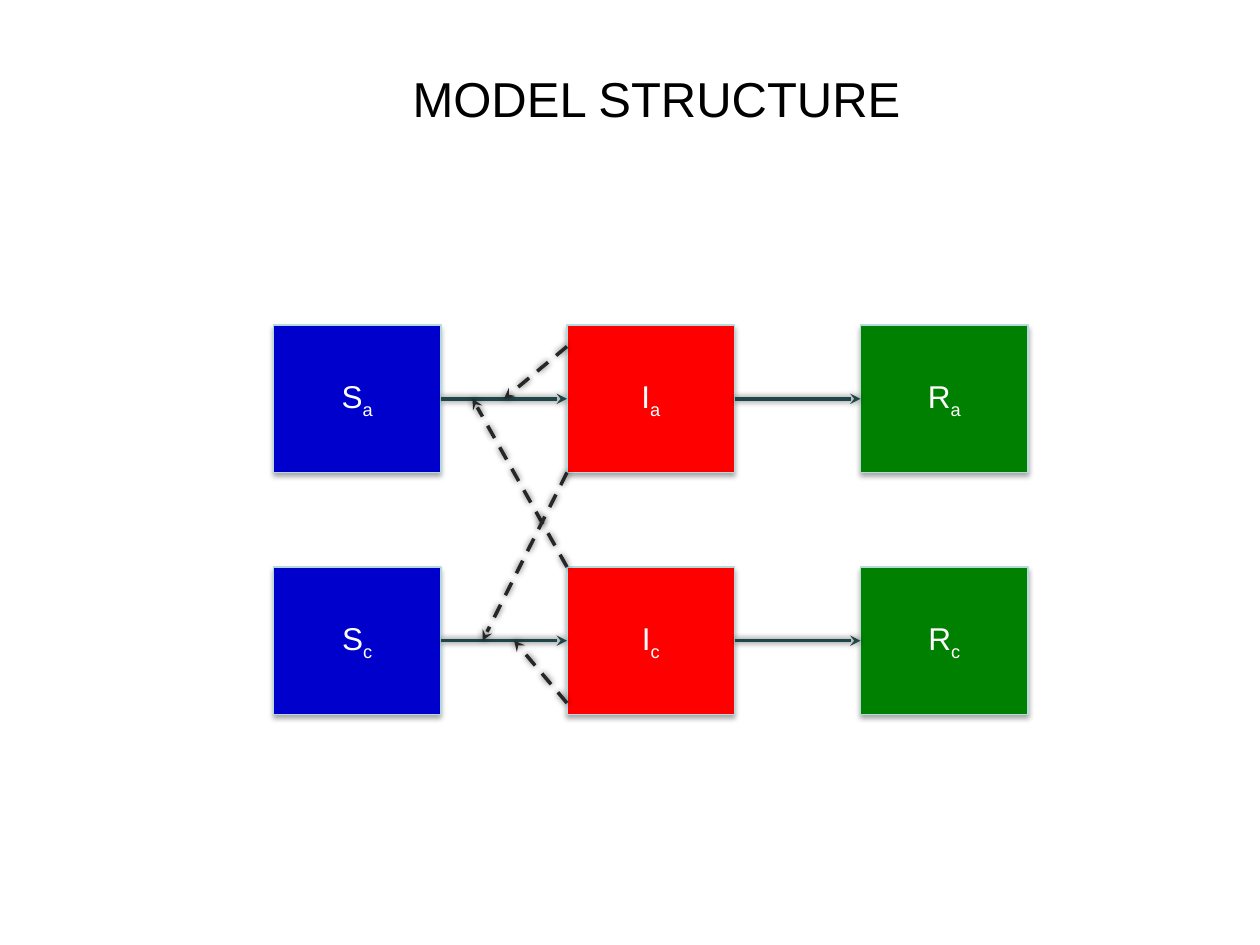
from lxml import etree
from pptx import Presentation
from pptx.dml.color import RGBColor
from pptx.enum.dml import MSO_LINE
from pptx.enum.shapes import MSO_CONNECTOR, MSO_SHAPE
from pptx.enum.text import MSO_ANCHOR, PP_ALIGN
from pptx.oxml.ns import qn
from pptx.util import Inches, Pt

RECT = MSO_SHAPE.RECTANGLE
STRAIGHT = MSO_CONNECTOR.STRAIGHT
DASH = MSO_LINE.DASH
CENTER = PP_ALIGN.CENTER
MIDDLE = MSO_ANCHOR.MIDDLE

# Content: states run across, age groups run down
TITLE = "MODEL STRUCTURE"
STATES = [("S", "0000CC"), ("I", "FF0000"), ("R", "008000")]
GROUPS = ["a", "c"]

# Grid in inches
LEFT, TOP = 2.17, 2.58
WIDE, HIGH = 1.33, 1.17
STEP_X, STEP_Y = 2.33, 1.92
XS = [LEFT + i * STEP_X for i in range(len(STATES))]
YS = [TOP + i * STEP_Y for i in range(len(GROUPS))]
MIDS = [y + HIGH / 2 for y in YS]

# Infection links: start height on the I box, then the point on a flow
LINKS = [
    (YS[0] + 0.17, 4.0, MIDS[0]),
    (YS[1], 3.75, MIDS[0]),
    (YS[0] + HIGH, 3.83, MIDS[1]),
    (YS[1] + HIGH - 0.09, 4.08, MIDS[1]),
]


def color(code):
    return RGBColor.from_string(code)


def shade(shape, alpha, blur, dist, angle):
    props = shape._element.spPr
    for old in props.findall(qn("a:effectLst")):
        props.remove(old)
    effects = etree.SubElement(props, qn("a:effectLst"))
    outer = etree.SubElement(
        effects, qn("a:outerShdw"), blurRad=str(Pt(blur)), dist=str(Pt(dist)),
        dir=str(angle * 60000), algn="ctr", rotWithShape="0")
    black = etree.SubElement(outer, qn("a:srgbClr"), val="000000")
    etree.SubElement(black, qn("a:alpha"), val=str(alpha * 1000))


def write(shape, text, size, code, sub=""):
    frame = shape.text_frame
    frame.word_wrap = True
    frame.vertical_anchor = MIDDLE
    para = frame.paragraphs[0]
    para.alignment = CENTER
    para.font.name = "Arial"
    para.font.size = Pt(size)
    para.font.color.rgb = color(code)
    para.add_run().text = text
    if sub:
        run = para.add_run()
        run.text = sub
        run.font._element.set("baseline", "-25000")


def arrow(x1, y1, x2, y2, code, dash=None):
    link = slide.shapes.add_connector(
        STRAIGHT, Inches(x1), Inches(y1), Inches(x2), Inches(y2))
    link.line.color.rgb = color(code)
    link.line.width = Pt(2)
    if dash:
        link.line.dash_style = dash
    etree.SubElement(link.line._get_or_add_ln(), qn("a:tailEnd"), type="stealth")
    shade(link, 64, 4, 0, 0)


deck = Presentation()
deck.slide_width, deck.slide_height = Inches(10), Inches(7.5)
slide = deck.slides.add_slide(deck.slide_layouts[6])

# Title
title = slide.shapes.add_textbox(
    Inches(1.75), Inches(0.3), Inches(6.92), Inches(0.95))
write(title, TITLE, 28, "000000")

# State boxes
for x, (state, fill) in zip(XS, STATES):
    for y, group in zip(YS, GROUPS):
        box = slide.shapes.add_shape(
            RECT, Inches(x), Inches(y), Inches(WIDE), Inches(HIGH))
        box.fill.solid()
        box.fill.fore_color.rgb = color(fill)
        box.line.color.rgb = color("B5DADD")
        box.line.width = Pt(0.75)
        shade(box, 35, 3.1, 2, 90)
        write(box, state, 18, "FFFFFF", group)

# Flows between states
for start, end in zip(XS, XS[1:]):
    for y in MIDS:
        arrow(start + WIDE, y, end, y, "1E4649")

# Infection links
for y1, x2, y2 in LINKS:
    arrow(XS[1], y1, x2, y2, "262626", DASH)

deck.save("out.pptx")
